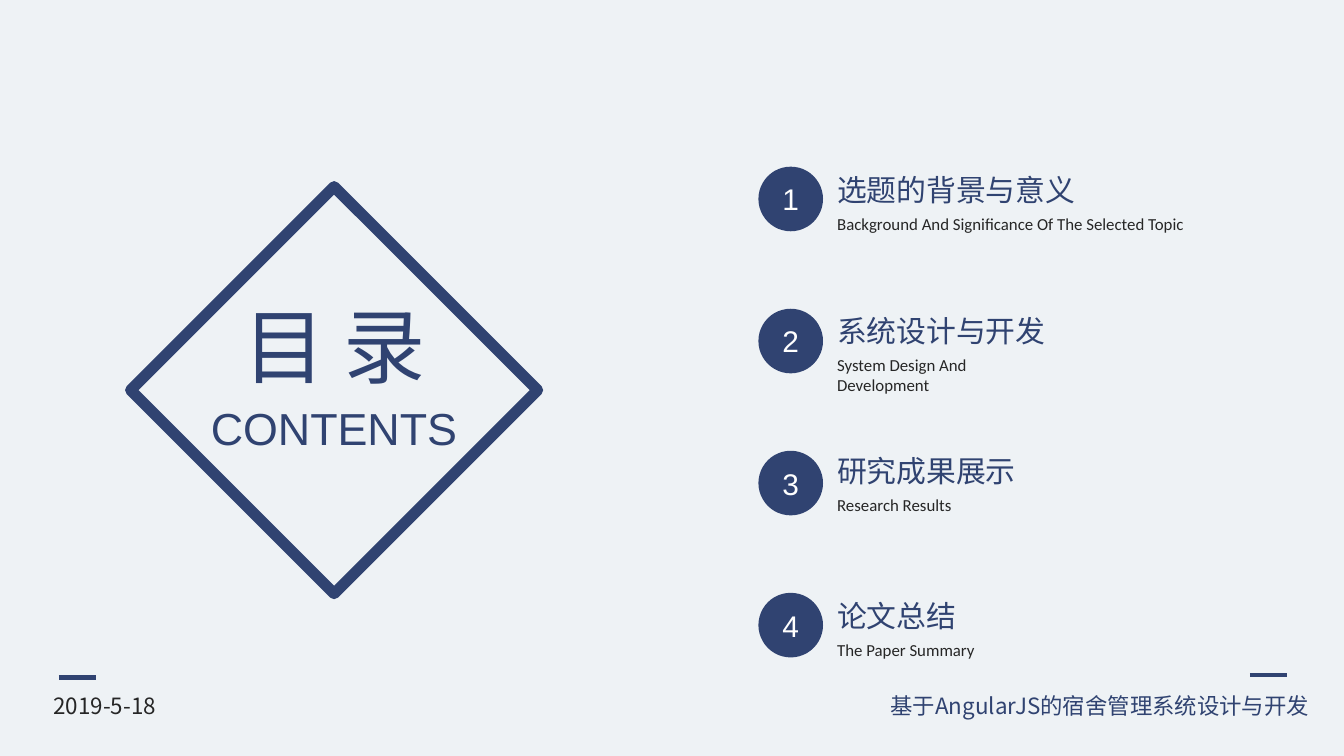
from lxml.etree import SubElement
from pptx import Presentation
from pptx.dml.color import RGBColor
from pptx.enum.shapes import MSO_CONNECTOR, MSO_SHAPE
from pptx.enum.text import MSO_ANCHOR, MSO_AUTO_SIZE, PP_ALIGN
from pptx.oxml.ns import qn
from pptx.util import Pt

NAVY, DARK, WHITE, PALE = "304371", "262626", "FFFFFF", "EEF2F5"
CJK, LATIN, BODY = "Noto Sans CJK SC", "Arial", "Calibri"

# Chinese title, English subtitle, title top, title width, subtitle width
TOPICS = [
    ("选题的背景与意义", "Background And Significance Of The Selected Topic", 88.6, 144, 201.6),
    ("系统设计与开发", "System Design And Development", 164.2, 126.7, 133.9),
    ("研究成果展示", "Research Results", 239, 110.2, 75.6),
    ("论文总结", "The Paper Summary", 316.8, 79.2, 88.6),
]
TOPIC_LEFT, SUBTITLE_OFFSET = 441.4, 22.3
BADGE_LEFT, BADGE_TOP, BADGE_SIZE, BADGE_PITCH = 406.3, 89.3, 34.6, 76.1


def set_color(target, color):
    target.rgb = RGBColor.from_string(color)


def set_attributes(target, values):
    for name, value in values.items():
        setattr(target, name, value)


def write_text(frame, text, size, font, color, align=PP_ALIGN.LEFT):
    paragraph = frame.paragraphs[0]
    paragraph.alignment = align
    run = paragraph.add_run()
    run.text = text
    set_attributes(run.font, {"size": Pt(size), "name": font})
    set_color(run.font.color, color)
    east_asian = SubElement(run.font._element, qn("a:ea"))
    east_asian.set("typeface", font)


def add_label(slide, box, text, size, font, color, align=PP_ALIGN.LEFT, wrap=False):
    shape = slide.shapes.add_textbox(*map(Pt, box))
    frame = shape.text_frame
    set_attributes(frame, {"word_wrap": wrap, "auto_size": MSO_AUTO_SIZE.SHAPE_TO_FIT_TEXT})
    write_text(frame, text, size, font, color, align)


def add_dash(slide, left, top, length):
    line = slide.shapes.add_connector(
        MSO_CONNECTOR.STRAIGHT, Pt(left), Pt(top), Pt(left + length), Pt(top))
    set_color(line.line.color, NAVY)
    line.line.width = Pt(2.25)
    SubElement(line._element.spPr, qn("a:effectLst"))


def add_diamond(slide, left, top, size):
    shape = slide.shapes.add_shape(MSO_SHAPE.DIAMOND, Pt(left), Pt(top), Pt(size), Pt(size))
    shape.shadow.inherit = False
    shape.fill.background()
    set_color(shape.line.color, NAVY)
    shape.line.width = Pt(6)


def add_badge(slide, number, top):
    shape = slide.shapes.add_shape(
        MSO_SHAPE.OVAL, Pt(BADGE_LEFT), Pt(top), Pt(BADGE_SIZE), Pt(BADGE_SIZE))
    shape.shadow.inherit = False
    shape.fill.solid()
    set_color(shape.fill.fore_color, NAVY)
    shape.line.fill.background()
    shape.text_frame.vertical_anchor = MSO_ANCHOR.MIDDLE
    write_text(shape.text_frame, str(number), 16, LATIN, WHITE, PP_ALIGN.CENTER)


def add_topic(slide, index, topic):
    title, subtitle, top, title_width, subtitle_width = topic
    add_badge(slide, index + 1, BADGE_TOP + index * BADGE_PITCH)
    add_label(slide, (TOPIC_LEFT, top, title_width, 26.6), title, 16, CJK, NAVY)
    # Only the second subtitle runs onto two lines
    add_label(slide, (TOPIC_LEFT, top + SUBTITLE_OFFSET, subtitle_width, 18),
              subtitle, 9, BODY, DARK, wrap=index == 1)


def main():
    presentation = Presentation()
    set_attributes(presentation, {"slide_width": Pt(720), "slide_height": Pt(405)})
    slide = presentation.slides.add_slide(presentation.slide_layouts[6])
    slide.background.fill.solid()
    set_color(slide.background.fill.fore_color, PALE)

    # Footer
    add_dash(slide, 669.6, 361.5, 20)
    add_label(slide, (469.4, 367.2, 239.8, 21.6), "基于AngularJS的宿舍管理系统设计与开发",
              12, CJK, NAVY, PP_ALIGN.CENTER, wrap=True)
    add_dash(slide, 31.6, 363, 20)
    add_label(slide, (21.6, 367.2, 74.2, 21.6), "2019-5-18", 12, CJK, DARK)

    # Heading inside the diamond
    add_diamond(slide, 70, 100, 218)
    add_label(slide, (121, 154.8, 116.6, 60.5), "目 录", 44, CJK, NAVY, PP_ALIGN.CENTER)
    add_label(slide, (105.1, 211, 147.6, 36), "CONTENTS", 24, LATIN, NAVY, PP_ALIGN.CENTER)

    # Numbered topics
    for index, topic in enumerate(TOPICS):
        add_topic(slide, index, topic)

    presentation.save("out.pptx")


if __name__ == "__main__":
    main()
